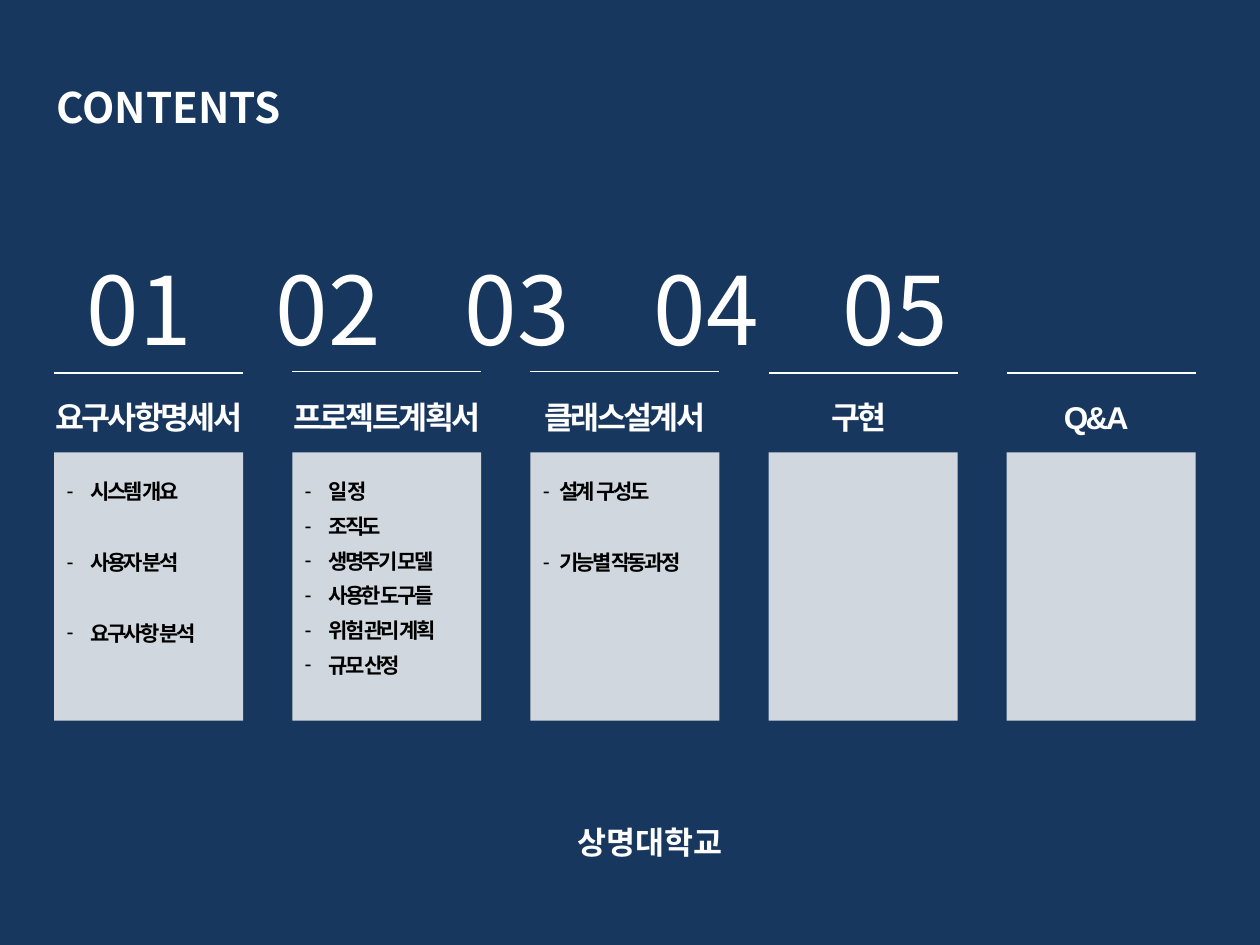
from pptx import Presentation
from pptx.dml.color import RGBColor
from pptx.enum.shapes import MSO_CONNECTOR, MSO_SHAPE
from pptx.enum.text import PP_ALIGN
from pptx.oxml.ns import qn
from pptx.util import Inches, Pt
from lxml import etree

LINE = MSO_CONNECTOR.STRAIGHT
RECT = MSO_SHAPE.RECTANGLE
CENTER = PP_ALIGN.CENTER

NAVY = RGBColor(0x17, 0x37, 0x5E)
WHITE = RGBColor(0xFF, 0xFF, 0xFF)
BLACK = RGBColor(0, 0, 0)
NOTO = "Noto Sans CJK KR"

# Column grid, in inches
LEFT, COL_W, PITCH = 0.43, 1.5, 1.89
PANEL_TOP, PANEL_H = 3.59, 2.13
HEAD_W, HEAD_TOP = 2.0, 3.11
NUMBER_PITCH = 1.5

TITLE = dict(size=Pt(24), name=NOTO, bold=True)
NUMBER = dict(size=Pt(54), name=NOTO, bold=False)
HEAD = dict(size=Pt(18), name="Arial", bold=True)
ITEM = dict(size=Pt(12), name=NOTO, bold=True)
FOOTER = dict(size=Pt(18), name=NOTO, bold=True)

# heading, heading shift, rule top, items, gap between items (pt), hanging indent
COLUMNS = [
    ("요구사항명세서", 0, 2.96, ["시스템 개요", "사용자 분석", "요구사항 분석"], 26, 0.19),
    ("프로젝트계획서", 0, 2.95,
     ["일 정", "조직도", "생명주기 모델", "사용한 도구들", "위험 관리 계획", "규모 산정"],
     5.4, 0.19),
    ("클래스설계서", 0, 2.95, ["설계  구성도", "기능별 작동과정"], 26, 0.13),
    ("구현", -0.03, 2.96, [], 0, 0),
    ("Q&A", -0.04, 2.96, [], 0, 0),
]


def add_box(slide, x, y, w, h):
    tf = slide.shapes.add_textbox(Inches(x), Inches(y), Inches(w), Inches(h)).text_frame
    tf.word_wrap = True
    return tf


def write(p, text, style, color, align=None, spacing=None):
    """Fill a paragraph with one styled run; spacing is in hundredths of a point."""
    p.alignment = align
    r = p.add_run()
    r.text = text
    for key, value in style.items():
        setattr(r.font, key, value)
    r.font.color.rgb = color
    rpr = r.font._element
    if style["name"] == NOTO:
        etree.SubElement(rpr, qn("a:ea")).set("typeface", NOTO)
    if spacing:
        rpr.set("spc", str(spacing))


def add_dash(p, indent):
    ppr = p._p.get_or_add_pPr()
    ppr.set("marL", str(Inches(indent)))
    ppr.set("indent", str(-Inches(indent)))
    etree.SubElement(ppr, qn("a:buFont")).set("typeface", "Arial")
    etree.SubElement(ppr, qn("a:buChar")).set("char", "-")


def add_numbers(slide, count):
    """One line of numbers, spread by tab stops."""
    tf = add_box(slide, 0.42, 1.94, 9.29, 1.01)
    tf.margin_left = Inches(0.27)
    p = tf.paragraphs[0]
    tabs = etree.SubElement(p._p.get_or_add_pPr(), qn("a:tabLst"))
    for i in range(1, count):
        tab = etree.SubElement(tabs, qn("a:tab"))
        tab.set("pos", str(Inches(i * NUMBER_PITCH)))
        tab.set("algn", "l")
    write(p, "\t".join(f"{i:02d}" for i in range(1, count + 1)), NUMBER, WHITE)


def add_rule(slide, x, y):
    cx = slide.shapes.add_connector(LINE, Inches(x), Inches(y), Inches(x + COL_W), Inches(y))
    cx.line.color.rgb = WHITE
    cx.line.width = Pt(0.75)
    etree.SubElement(cx._element.spPr, qn("a:effectLst"))


def add_panel(slide, x):
    sp = slide.shapes.add_shape(RECT, Inches(x), Inches(PANEL_TOP), Inches(COL_W), Inches(PANEL_H))
    sp.shadow.inherit = False
    sp.fill.solid()
    sp.fill.fore_color.rgb = WHITE
    color = sp._element.spPr.find(qn("a:solidFill"))[0]
    etree.SubElement(color, qn("a:alpha")).set("val", "80000")
    sp.line.fill.background()


def add_items(slide, x, items, gap, indent):
    tf = add_box(slide, x, PANEL_TOP + 0.16, COL_W, PANEL_H - 0.25)
    for i, item in enumerate(items):
        p = tf.add_paragraph() if i else tf.paragraphs[0]
        if i:
            p.space_before = Pt(gap)
        add_dash(p, indent)
        write(p, item, ITEM, BLACK, spacing=-150)


def add_column(slide, x, heading, shift, rule_top, items, gap, indent):
    add_rule(slide, x, rule_top)
    head_x = x + (COL_W - HEAD_W) / 2 + shift
    tf = add_box(slide, head_x, HEAD_TOP, HEAD_W, 0.4)
    write(tf.paragraphs[0], heading, HEAD, WHITE, CENTER, -150)
    add_panel(slide, x)
    if items:
        add_items(slide, x, items, gap, indent)


def main():
    prs = Presentation()
    prs.slide_width, prs.slide_height = Inches(10), Inches(7.5)
    slide = prs.slides.add_slide(prs.slide_layouts[6])
    slide.background.fill.solid()
    slide.background.fill.fore_color.rgb = NAVY

    write(add_box(slide, 0.35, 0.6, 4.57, 0.5).paragraphs[0], "CONTENTS", TITLE, WHITE)
    add_numbers(slide, len(COLUMNS))
    for i, column in enumerate(COLUMNS):
        add_column(slide, LEFT + i * PITCH, *column)
    write(add_box(slide, 3.19, 6.48, 3.94, 0.4).paragraphs[0], "상명대학교", FOOTER, WHITE, CENTER)
    prs.save("out.pptx")


if __name__ == "__main__":
    main()
